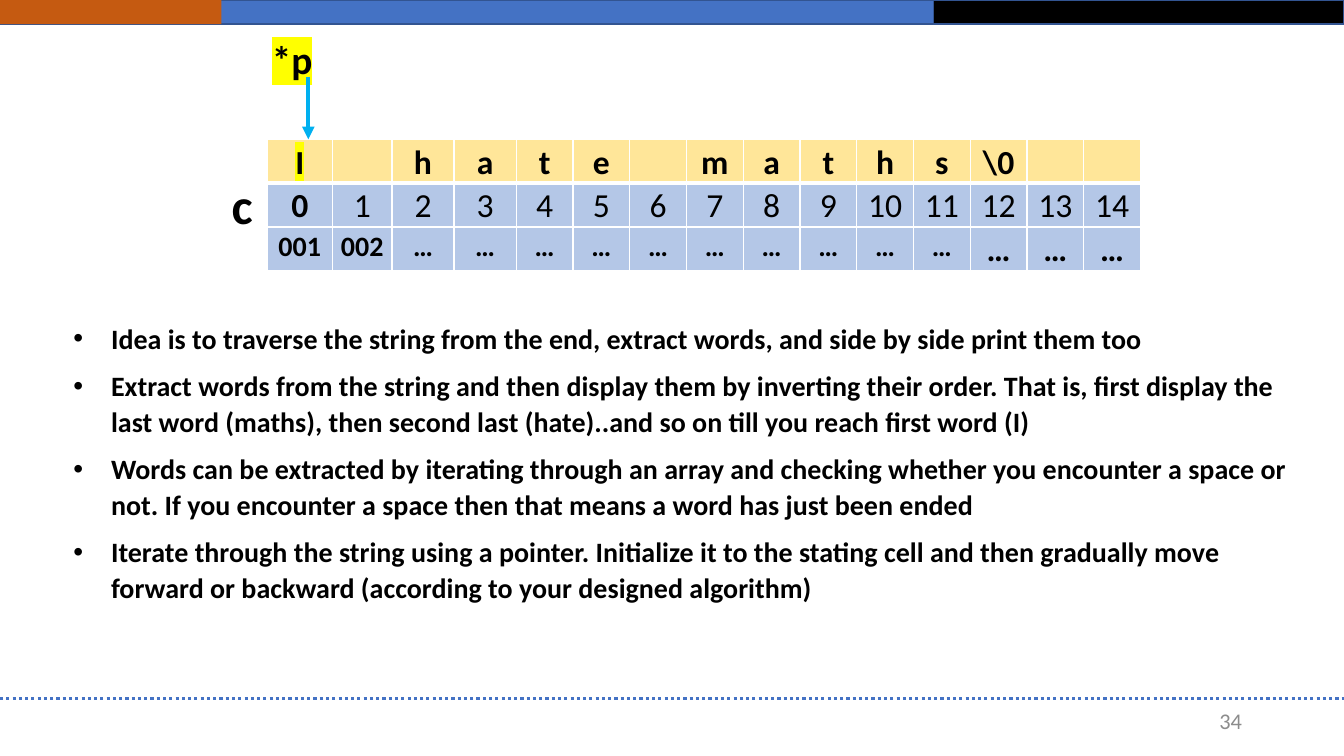
from pptx import Presentation
from pptx.dml.color import RGBColor
from pptx.enum.dml import MSO_LINE
from pptx.enum.shapes import MSO_CONNECTOR, MSO_SHAPE
from pptx.enum.text import MSO_ANCHOR, PP_ALIGN
from pptx.oxml.ns import qn
from pptx.util import Cm, Pt
from lxml import etree

RECT, STRAIGHT = MSO_SHAPE.RECTANGLE, MSO_CONNECTOR.STRAIGHT
DOTTED = MSO_LINE.ROUND_DOT
TOP, MIDDLE = MSO_ANCHOR.TOP, MSO_ANCHOR.MIDDLE
LEFT, CENTER, RIGHT = PP_ALIGN.LEFT, PP_ALIGN.CENTER, PP_ALIGN.RIGHT

THEME = {
    "font": "Calibri",
    "blue": "4472C4", "outline": "325491", "orange": "C55A11", "black": "000000",
    "white": "FFFFFF", "yellow": "FFFF00", "gray": "8C8C8C", "arrow": "00B0F0",
    "letters": "FFE699", "indexes": "B4C7E7",
    "number": 16, "body": 20, "cell": 24, "pointer": 28, "array": 36,
}


def color(name):
    return RGBColor.from_string(THEME[name])


def write(p, text, size, align=LEFT, spacing=1.0, bold=True, ink="black", marked=False):
    p.alignment = align
    p.line_spacing = spacing
    r = p.add_run()
    r.text = text
    r.font.size = Pt(THEME[size])
    r.font.bold = bold
    r.font.color.rgb = color(ink)
    r.font.name = THEME["font"]
    if marked:
        highlight = etree.Element(qn("a:highlight"))
        etree.SubElement(highlight, qn("a:srgbClr"), val=THEME["yellow"])
        r.font._element.find(qn("a:solidFill")).addnext(highlight)


prs = Presentation()
prs.slide_width, prs.slide_height = Cm(33.87), Cm(19.05)
s = prs.slides.add_slide(prs.slide_layouts[6])

# Top band
for left, width, fill, outline in [(0, 23.52, "blue", "outline"),
                                   (23.52, 10.35, "black", "outline"),
                                   (0, 5.58, "orange", None)]:
    sp = s.shapes.add_shape(RECT, Cm(left), 0, Cm(width), Cm(0.61))
    sp.shadow.inherit = False
    sp.fill.solid()
    sp.fill.fore_color.rgb = color(fill)
    if outline:
        sp.line.color.rgb = color(outline)
        sp.line.width = Pt(1)
    else:
        sp.line.fill.background()

# Character array: letters, indexes, addresses
first_widths = [1.65, 1.5, 1.56, 1.57]
letters = list("I hate maths") + ["\\0", "", ""]
count = len(letters)
widths = first_widths + [1.43] * (count - len(first_widths))
rows = [letters, [str(i) for i in range(count)], ["001", "002"] + ["…"] * (count - 2)]
table = s.shapes.add_table(len(rows), count, Cm(6.73), Cm(3.51),
                           Cm(sum(widths)), Cm(3.3)).table
for column, width in zip(table.columns, widths):
    column.width = Cm(width)
for i, values in enumerate(rows):
    table.rows[i].height = Cm(1.1)
    for j, value in enumerate(values):
        cell = table.cell(i, j)
        cell.margin_left = cell.margin_right = Cm(0.18)
        cell.margin_top = cell.margin_bottom = 0
        cell.fill.solid()
        cell.fill.fore_color.rgb = color("letters" if i == 0 else "indexes")
        if value.strip():
            size = "body" if i == 2 and j < 12 else "cell"
            write(cell.text_frame.paragraphs[0], value, size, CENTER, 1.07,
                  bold=i != 1 or j == 0, marked=i == j == 0)
        # White borders, thick between letters and indexes
        thick = {0: "lnB", 1: "lnT"}.get(i)
        for k, side in enumerate(["lnL", "lnR", "lnT", "lnB"]):
            ln = etree.Element(qn("a:" + side), w=str(Pt(3 if side == thick else 1)))
            fill = etree.SubElement(ln, qn("a:solidFill"))
            etree.SubElement(fill, qn("a:srgbClr"), val=THEME["white"])
            cell._tc.get_or_add_tcPr().insert(k, ln)

# Array name, pointer name and slide number
for text, box, size, align, spacing, anchor, style in [
    ("c", (5.05, 3.51, 2.11, 2.34), "array", CENTER, 1.5, TOP, {}),
    ("*p", (6.6, 0.76, 2.44, 1.45), "pointer", LEFT, 1.0, TOP, {"marked": True}),
    ("34", (23.93, 17.65, 7.62, 1.02), "number", RIGHT, 1.0, MIDDLE,
     {"bold": False, "ink": "gray"}),
]:
    tf = s.shapes.add_textbox(*map(Cm, box)).text_frame
    tf.word_wrap = True
    tf.vertical_anchor = anchor
    write(tf.paragraphs[0], text, size, align, spacing, **style)

# Explanation bullets
bullets = [
    "Idea is to traverse the string from the end, extract words, and side by side "
    "print them too",
    "Extract words from the string and then display them by inverting their order. "
    "That is, first display the last word (maths), then second last (hate)..and so on "
    "till you reach first word (I)",
    "Words can be extracted by iterating through an array and checking whether you "
    "encounter a space or not. If you encounter a space then that means a word has "
    "just been ended",
    "Iterate through the string using a pointer. Initialize it to the stating cell and "
    "then gradually move forward or backward (according to your designed algorithm)",
]
tf = s.shapes.add_textbox(Cm(1.6), Cm(7.92), Cm(31.45), Cm(7.47)).text_frame
tf.word_wrap = True
for i, text in enumerate(bullets):
    p = tf.add_paragraph() if i else tf.paragraphs[0]
    write(p, text, "body", spacing=1.07)
    p.space_after = Pt(8)
    pPr = p._p.get_or_add_pPr()
    pPr.set("marL", str(Cm(0.95)))
    pPr.set("indent", str(-Cm(0.95)))
    etree.SubElement(pPr, qn("a:buFont"), typeface="Arial")
    etree.SubElement(pPr, qn("a:buChar"), char="•")

# Footer rule and pointer arrow
for ends, ink, width, arrow in [((0, 17.6, 33.87, 17.6), "blue", 2.25, False),
                                ((7.77, 1.93, 7.77, 3.51), "arrow", 3, True)]:
    line = s.shapes.add_connector(STRAIGHT, *map(Cm, ends))
    line.line.color.rgb = color(ink)
    line.line.width = Pt(width)
    if arrow:
        etree.SubElement(line.line._get_or_add_ln(), qn("a:tailEnd"), type="triangle")
    else:
        line.line.dash_style = DOTTED
    etree.SubElement(line._element.spPr, qn("a:effectLst"))

prs.save("out.pptx")
